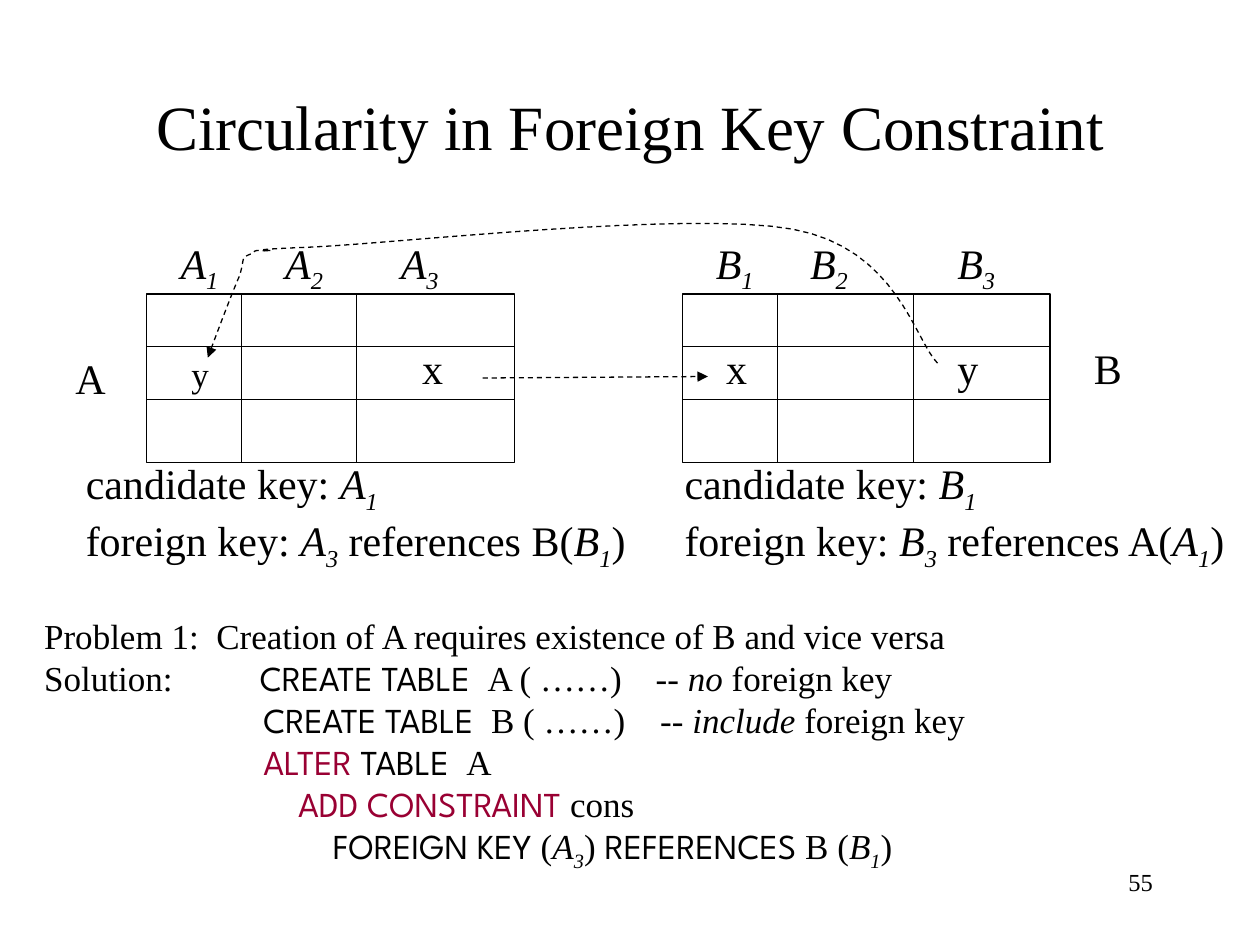
"""Build a slide on circular foreign key constraints between two tables."""
from lxml import etree
from pptx import Presentation
from pptx.dml.color import RGBColor
from pptx.enum.dml import MSO_LINE
from pptx.enum.shapes import MSO_CONNECTOR, MSO_SHAPE
from pptx.enum.text import MSO_ANCHOR, PP_ALIGN
from pptx.oxml.ns import qn
from pptx.util import Cm, Pt

STRAIGHT, RECT, DASH = MSO_CONNECTOR.STRAIGHT, MSO_SHAPE.RECTANGLE, MSO_LINE.DASH
CENTER, RIGHT, MIDDLE = PP_ALIGN.CENTER, PP_ALIGN.RIGHT, MSO_ANCHOR.MIDDLE
SERIF, SANS = "Times New Roman", "League Spartan"
rgb = RGBColor.from_string


def write(tf, lines, size):
    """Fill a frame; styles: i italic, s subscript, k keyword, r red keyword."""
    for n, line in enumerate(lines):
        p = tf.add_paragraph() if n else tf.paragraphs[0]
        for text, style in line:
            r = p.add_run()
            r.text = text
            r.font.size = Pt(size)
            r.font.name = SANS if style in ("k", "r") else SERIF
            r.font.color.rgb = rgb("990033" if style == "r" else "000000")
            r.font.italic = style in ("i", "s")
            if style == "s":
                r._r.get_or_add_rPr().set("baseline", "-25000")


def style_line(s, arrow=False):
    """Give a shape or connector a thin black line, dashed if it is an arrow."""
    s.line.color.rgb = rgb("000000")
    s.line.width = Pt(0.75)
    spPr = s._element.spPr
    if arrow:
        s.line.dash_style = DASH
        etree.SubElement(s.line._get_or_add_ln(), qn("a:tailEnd"), type="triangle")
    if spPr.find(qn("a:effectLst")) is None:
        etree.SubElement(spPr, qn("a:effectLst"))


prs = Presentation()
prs.slide_width, prs.slide_height = Cm(25.4), Cm(19.05)
slide = prs.slides.add_slide(prs.slide_layouts[5])
shapes = slide.shapes

title = shapes.title
title.left, title.top, title.width, title.height = Cm(1.91), Cm(1.69), Cm(21.59), Cm(1.69)
title.text_frame.vertical_anchor = MIDDLE
write(title.text_frame, [[("Circularity in Foreign Key Constraint", "")]], 36)
title.text_frame.paragraphs[0].alignment = CENTER

top, width, height = 5.93, 7.41, 3.39
for left, columns in ((2.96, (1.91, 4.23)), (13.76, (1.91, 4.66))):
    s = shapes.add_shape(RECT, Cm(left), Cm(top), Cm(width), Cm(height))
    s.fill.solid()
    s.fill.fore_color.rgb = rgb("FFFFFF")
    style_line(s)
    rules = [(left, top + y, left + width, top + y) for y in (1.06, 2.12)]
    rules += [(left + x, top, left + x, top + height) for x in columns]
    for rule in rules:
        style_line(shapes.add_connector(STRAIGHT, *[Cm(v) for v in rule]))

labels = [
    (3.61, 6.99, 0.86, 1.09, 20, [[("y", "")]]),
    (8.26, 6.77, 0.94, 1.27, 24, [[("x", "")]]),
    (14.39, 6.77, 0.94, 1.27, 24, [[("x", "")]]),
    (19.05, 6.77, 0.94, 1.27, 24, [[("y", "")]]),
    (1.27, 6.99, 1.12, 1.27, 24, [[("A", "")]]),
    (21.8, 6.77, 1.07, 1.27, 24, [[("B", "")]]),
]
for name, lefts in (("A", (3.39, 5.5, 7.83)), ("B", (14.18, 16.08, 19.05))):
    for n, left in enumerate(lefts, 1):
        labels.append((left, 4.66, 1.32, 1.27, 24, [[(name, "i"), (str(n), "s")]]))
for left, own, other in ((1.48, "A", "B"), (13.55, "B", "A")):
    keys = [
        [("candidate key: ", ""), (own, "i"), ("1", "s")],
        [("foreign key: ", ""), (own, "i"), ("3", "s"), (f" references {other}(", ""),
         (other, "i"), ("1", "s"), (")", "")],
    ]
    labels.append((left, 9.1, 11.48, 2.29, 24, keys))
for left, y, w, h, size, lines in labels:
    tf = shapes.add_textbox(Cm(left), Cm(y), Cm(w), Cm(h)).text_frame
    tf.word_wrap = False
    write(tf, lines, size)

solution = [
    ((), [("Problem 1:  Creation of A requires existence of B and vice versa", "")]),
    ((4.35, 12.33), [("Solution:\t", ""), ("CREATE TABLE  ", "k"), ("A ( ……)\t-- ", ""),
                     ("no", "i"), (" foreign key", "")]),
    ((4.42, 12.42), [("\t", ""), ("CREATE TABLE  ", "k"), ("B ( ……)\t-- ", ""),
                     ("include", "i"), (" foreign key", "")]),
    ((4.42,), [("\t", ""), ("ALTER", "r"), (" TABLE  ", "k"), ("A", "")]),
    ((5.12,), [("\t", ""), ("ADD CONSTRAINT", "r"), (" cons", "")]),
    ((5.82,), [("\t", ""), ("FOREIGN KEY", "k"), (" (", ""), ("A", "i"), ("3", "s"),
               (") ", ""), ("REFERENCES ", "k"), ("B (", ""), ("B", "i"), ("1", "s"),
               (")", "")]),
]
tf = shapes.add_textbox(Cm(0.64), Cm(12.27), Cm(24.18), Cm(5.33)).text_frame
tf.word_wrap = True
write(tf, [line for _, line in solution], 20)
for p, (stops, _) in zip(tf.paragraphs, solution):
    if stops:
        tabs = etree.SubElement(p._p.get_or_add_pPr(), qn("a:tabLst"))
        for stop in stops:
            etree.SubElement(tabs, qn("a:tab"), pos=str(Cm(stop)), algn="l")

style_line(shapes.add_connector(STRAIGHT, Cm(9.73), Cm(7.62), Cm(14.27), Cm(7.59)), True)

curve = [
    (18.9, 7.32), (18.44, 6.86), (18.08, 5), (15.98, 4.62), (13.89, 4.24), (8.05, 4.9),
    (6.3, 4.98), (4.55, 5.05), (5.64, 5.05), (5.44, 5.05), (5.23, 5.08), (5.18, 5),
    (5.08, 5.11), (4.83, 5.21), (4.95, 5.18), (4.83, 5.56), (4.67, 5.92), (4.32, 6.86),
    (4.19, 7.21),
]
steps = 16
points = []
for n in range(0, len(curve) - 1, 3):
    for step in range(1, steps + 1):
        t = step / steps
        weights = ((1 - t) ** 3, 3 * t * (1 - t) ** 2, 3 * t ** 2 * (1 - t), t ** 3)
        points.append([Cm(sum(w * c[axis] for w, c in zip(weights, curve[n:n + 4])))
                       for axis in (0, 1)])
builder = shapes.build_freeform(Cm(curve[0][0]), Cm(curve[0][1]))
builder.add_line_segments(points, close=False)
s = builder.convert_to_shape()
s.fill.background()
style_line(s, True)

tf = shapes.add_textbox(Cm(18.2), Cm(17.36), Cm(5.29), Cm(1.27)).text_frame
tf.word_wrap = True
write(tf, [[("55", "")]], 14)
tf.paragraphs[0].alignment = RIGHT

prs.save("out.pptx")
